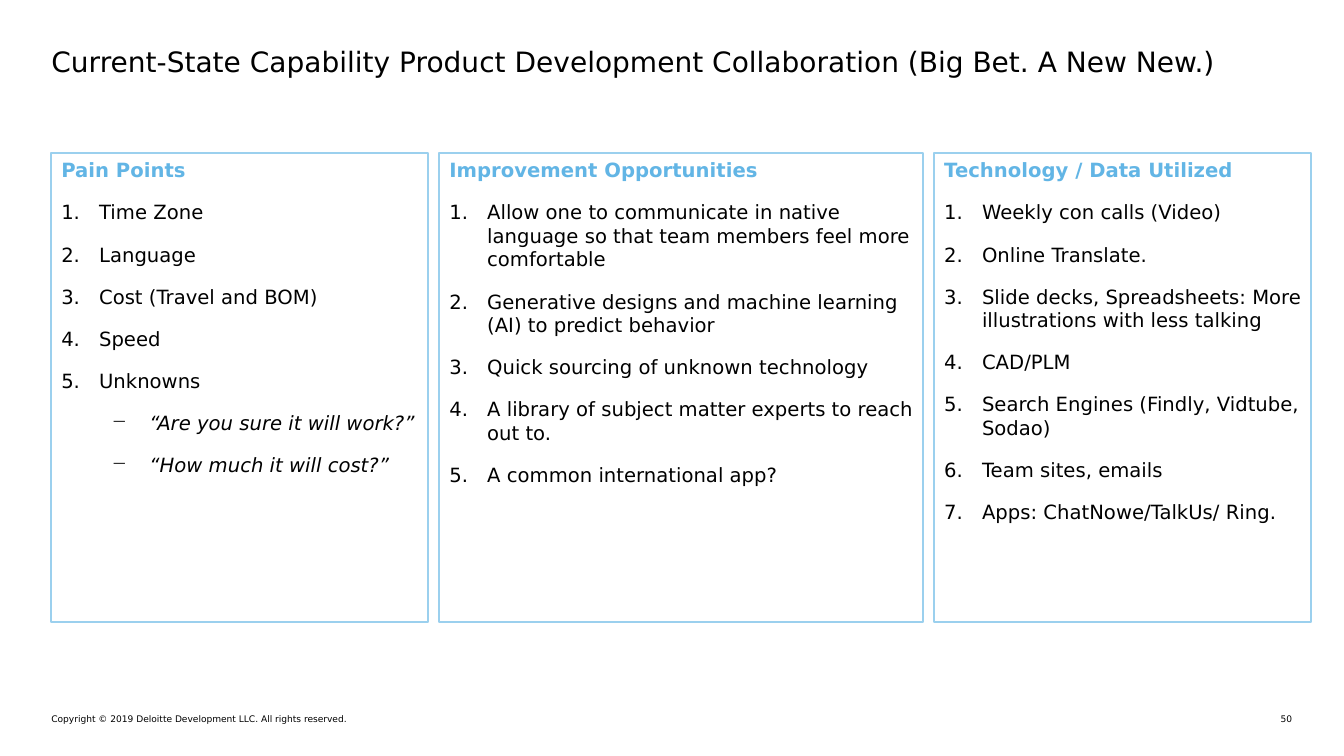
from dataclasses import dataclass

from lxml.etree import SubElement
from pptx import Presentation
from pptx.dml.color import RGBColor
from pptx.enum.shapes import MSO_SHAPE
from pptx.enum.text import MSO_ANCHOR, MSO_AUTO_SIZE, PP_ALIGN
from pptx.oxml.ns import qn
from pptx.slide import Slide
from pptx.text.text import TextFrame, _Paragraph
from pptx.util import Pt


@dataclass(frozen=True)
class Theme:
    font: str = "DejaVu Sans"
    text: RGBColor = RGBColor(0x00, 0x00, 0x00)
    heading: RGBColor = RGBColor(0x62, 0xB5, 0xE5)
    border: RGBColor = RGBColor(0x9B, 0xD0, 0xEE)
    title_size: float = 20
    body_size: float = 14
    footer_size: float = 6.5


@dataclass(frozen=True)
class Panel:
    heading: str
    width: float
    items: tuple[str, ...]
    quotes: tuple[str, ...] = ()


THEME = Theme()
MARGIN = 36.7
CONTENT_WIDTH = 886.3
PANEL_TOP, PANEL_HEIGHT, PANEL_GAP = 109.4, 334.8, 7.9
HANGING_INDENT = 27
QUOTE_INDENT = 63
FOOTER_TOP, FOOTER_HEIGHT = 509.8, 8
PAGE_NUMBER_WIDTH = 24.5

TITLE = "Current-State Capability Product Development Collaboration (Big Bet. A New New.)"
COPYRIGHT = "Copyright © 2019 Deloitte Development LLC. All rights reserved."
PANELS = (
    Panel(
        "Pain Points",
        269.3,
        ("Time Zone", "Language", "Cost (Travel and BOM)", "Speed", "Unknowns"),
        ("“Are you sure it will work?”", "“How much it will cost?”"),
    ),
    Panel(
        "Improvement Opportunities",
        345.6,
        (
            "Allow one to communicate in native language so that team members feel more comfortable",
            "Generative designs and machine learning (AI) to predict behavior",
            "Quick sourcing of unknown technology",
            "A library of subject matter experts to reach out to.",
            "A common international app?",
        ),
    ),
    Panel(
        "Technology / Data Utilized",
        269.3,
        (
            "Weekly con calls (Video)",
            "Online Translate.",
            "Slide decks, Spreadsheets: More illustrations with less talking",
            "CAD/PLM",
            "Search Engines (Findly, Vidtube, Sodao)",
            "Team sites, emails",
            "Apps: ChatNowe/TalkUs/ Ring.",
        ),
    ),
)


def style(para: _Paragraph, size: float, color: RGBColor = THEME.text,
          bold: bool = False, italic: bool = False) -> None:
    font = para.font
    font.name, font.size = THEME.font, Pt(size)
    font.bold, font.italic = bold, italic
    font.color.rgb = color


def clear_insets(frame: TextFrame) -> None:
    frame.margin_left = frame.margin_right = frame.margin_top = frame.margin_bottom = 0
    frame.vertical_anchor = MSO_ANCHOR.TOP
    frame.word_wrap = True


def set_bullet(para: _Paragraph, indent: float, tag: str, **attributes: str) -> None:
    """Give a paragraph a hanging bullet or number."""
    properties = para._p.get_or_add_pPr()
    properties.set("marL", str(Pt(indent)))
    properties.set("indent", str(-Pt(HANGING_INDENT)))
    SubElement(properties, qn(tag), attributes)


def add_item(frame: TextFrame, text: str) -> _Paragraph:
    para = frame.add_paragraph()
    para.text = text
    para.space_after = Pt(13.3)
    return para


def add_panel(page: Slide, panel: Panel, left: float) -> None:
    box = page.shapes.add_shape(
        MSO_SHAPE.RECTANGLE, Pt(left), Pt(PANEL_TOP), Pt(panel.width), Pt(PANEL_HEIGHT))
    box.shadow.inherit = False
    box.fill.background()
    box.line.color.rgb = THEME.border
    box.line.width = Pt(1.5)
    frame = box.text_frame
    frame.word_wrap = True
    frame.vertical_anchor = MSO_ANCHOR.TOP

    heading = frame.paragraphs[0]
    heading.text = panel.heading
    heading.space_after = Pt(13.3)
    style(heading, THEME.body_size, THEME.heading, bold=True)
    for item in panel.items:
        para = add_item(frame, item)
        set_bullet(para, HANGING_INDENT, "a:buAutoNum", type="arabicPeriod")
        style(para, THEME.body_size)
    for quote in panel.quotes:
        para = add_item(frame, quote)
        set_bullet(para, QUOTE_INDENT, "a:buChar", char="−")
        style(para, THEME.body_size, italic=True)
    for para in frame.paragraphs:
        para.alignment = PP_ALIGN.LEFT


def add_footer(page: Slide, text: str, left: float, width: float, align: PP_ALIGN) -> None:
    box = page.shapes.add_textbox(Pt(left), Pt(FOOTER_TOP), Pt(width), Pt(FOOTER_HEIGHT))
    clear_insets(box.text_frame)
    para = box.text_frame.paragraphs[0]
    para.text = text
    para.alignment = align
    style(para, THEME.footer_size)


def set_title(page: Slide) -> None:
    title = page.shapes.title
    title.left, title.top = Pt(MARGIN), Pt(31.7)
    title.width, title.height = Pt(CONTENT_WIDTH), Pt(26.6)
    frame = title.text_frame
    clear_insets(frame)
    frame.auto_size = MSO_AUTO_SIZE.NONE
    para = frame.paragraphs[0]
    para.text = TITLE
    para.alignment = PP_ALIGN.LEFT
    style(para, THEME.title_size)


def main() -> None:
    deck = Presentation()
    deck.slide_width, deck.slide_height = Pt(960), Pt(540)
    page = deck.slides.add_slide(deck.slide_layouts.get_by_name("Title Only"))
    set_title(page)

    left = MARGIN
    for panel in PANELS:
        add_panel(page, panel, left)
        left += panel.width + PANEL_GAP

    add_footer(page, COPYRIGHT, MARGIN, 422, PP_ALIGN.LEFT)
    number_left = MARGIN + CONTENT_WIDTH - PAGE_NUMBER_WIDTH
    add_footer(page, "50", number_left, PAGE_NUMBER_WIDTH, PP_ALIGN.RIGHT)
    deck.save("out.pptx")


if __name__ == "__main__":
    main()
